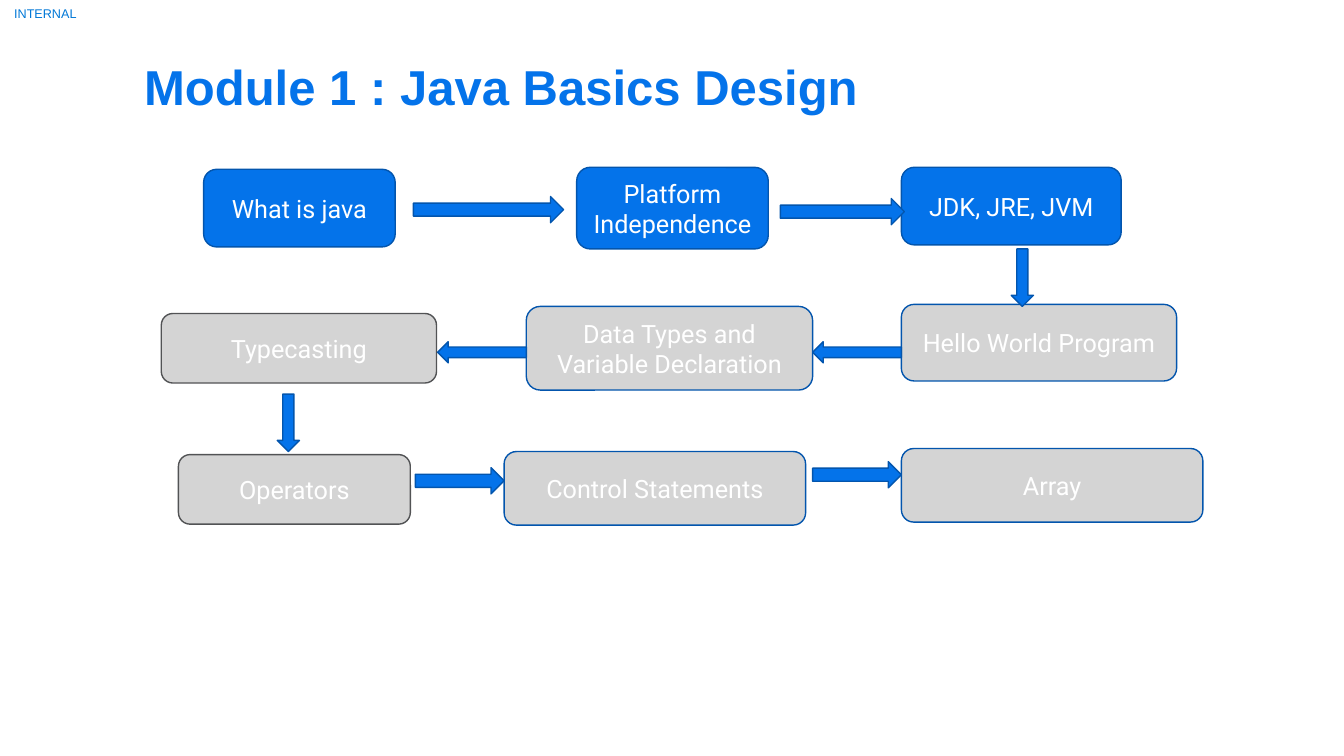
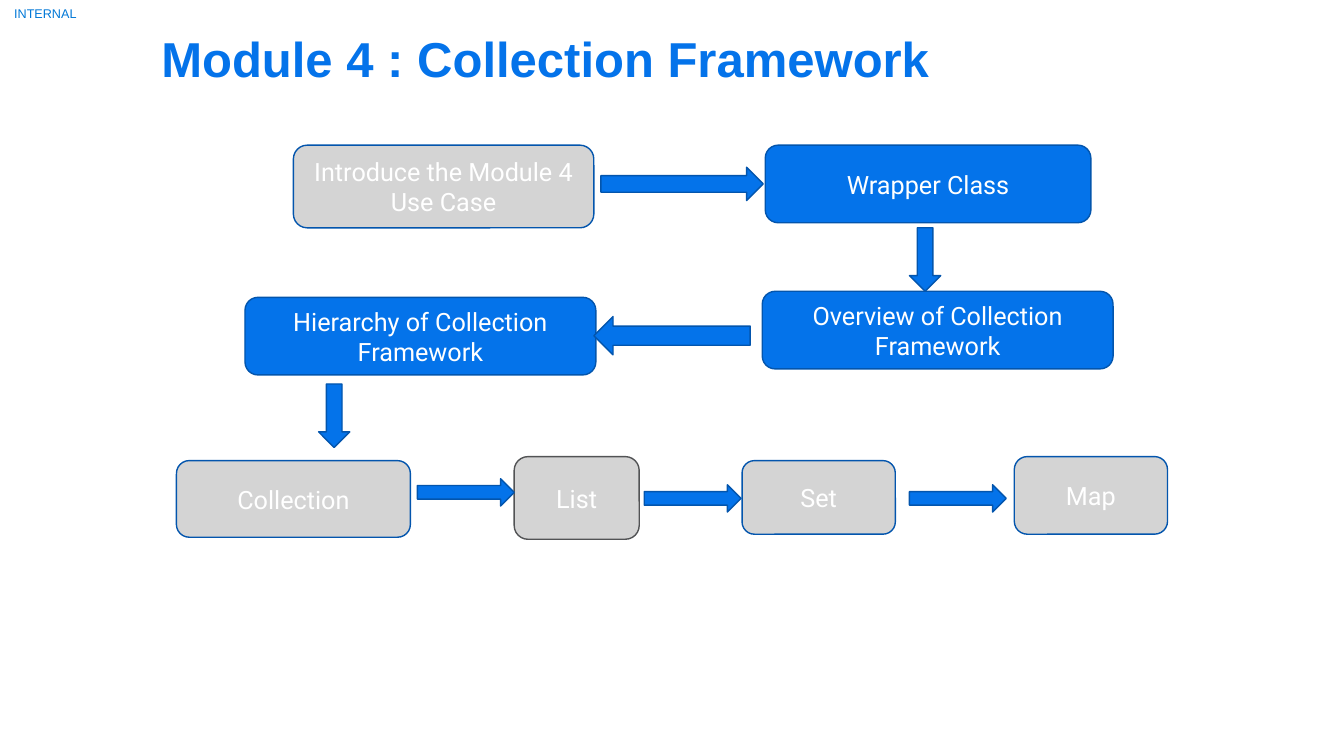
from dataclasses import dataclass

from pptx import Presentation
from pptx.dml.color import RGBColor
from pptx.enum.shapes import MSO_SHAPE
from pptx.enum.text import MSO_ANCHOR, PP_ALIGN
from pptx.util import Inches, Pt


@dataclass(frozen=True)
class Theme:
    blue: str = "0473EA"
    edge: str = "0355AD"
    grey: str = "D4D4D4"
    dark: str = "525355"
    white: str = "FFFFFF"
    label: str = "0078D7"
    heading_font: str = "Arial"
    body_font: str = "Roboto"
    label_size: int = 9
    title_size: int = 35
    box_size: int = 18
    line_width: int = 1


T = Theme()

# Box style: (fill, outline)
STYLES = {
    "done": (T.blue, T.edge),
    "open": (T.grey, T.edge),
    "plain": (T.grey, T.dark),
}
ARROWS = {
    "right": MSO_SHAPE.RIGHT_ARROW,
    "left": MSO_SHAPE.LEFT_ARROW,
    "down": MSO_SHAPE.DOWN_ARROW,
}
TITLE_SIZE = (10.13, 0.77)
LABEL_AREA = (0, 0, 0.9, 0.26)

# Boxes: text, style, (left, top, width, height) in inches, in reading order.
# Arrows: shared (width, height) per direction, then the (left, top) of each.
MODULES = [
    {
        "title": "Module 1 : Java Basics Design",
        "title_at": (1.43, 0.5),
        "boxes": [
            ("What is java", "done", (2.02, 1.68, 1.9, 0.77)),
            ("Platform Independence", "done", (5.72, 1.66, 1.9, 0.81)),
            ("JDK, JRE, JVM", "done", (8.94, 1.66, 2.18, 0.77)),
            ("Hello World Program", "open", (8.94, 3.02, 2.73, 0.76)),
            ("Data Types and Variable Declaration", "open", (5.22, 3.04, 2.84, 0.83)),
            ("Typecasting", "plain", (1.6, 3.11, 2.73, 0.69)),
            ("Operators", "plain", (1.77, 4.51, 2.3, 0.69)),
            ("Control Statements", "open", (5, 4.48, 2.99, 0.73)),
            ("Array", "open", (8.94, 4.45, 2.99, 0.73)),
        ],
        "arrows": [
            ("right", (1.49, 0.26), [(4.1, 1.95)]),
            ("right", (1.23, 0.26), [(7.74, 1.97)]),
            ("right", (0.88, 0.26), [(4.12, 4.64), (8.06, 4.58)]),
            ("left", (0.88, 0.21), [(8.06, 3.39), (4.34, 3.39)]),
            ("down", (0.22, 0.57), [(10.03, 2.47), (2.75, 3.91)]),
        ],
    },
    {
        "title": "Module 4 : Collection Framework",
        "title_at": (1.6, 0.22),
        "boxes": [
            ("Introduce the Module 4 Use Case", "open", (2.91, 1.44, 2.98, 0.82)),
            ("Wrapper Class", "done", (7.59, 1.44, 3.23, 0.77)),
            ("Overview of Collection Framework", "done", (7.56, 2.89, 3.48, 0.77)),
            ("Hierarchy of Collection Framework", "done", (2.43, 2.95, 3.48, 0.77)),
            ("Collection", "open", (1.75, 4.57, 2.32, 0.76)),
            ("List", "plain", (5.1, 4.53, 1.24, 0.82)),
            ("Set", "open", (7.36, 4.57, 1.52, 0.73)),
            ("Map", "open", (10.06, 4.53, 1.52, 0.77)),
        ],
        "arrows": [
            ("right", (1.61, 0.33), [(5.96, 1.66)]),
            ("right", (0.96, 0.27), [(4.14, 4.75), (6.39, 4.81), (9.02, 4.81)]),
            ("left", (1.55, 0.38), [(5.89, 3.14)]),
            ("down", (0.31, 0.63), [(9.02, 2.26), (3.16, 3.81)]),
        ],
    },
]


def rgb(color):
    return RGBColor.from_string(color)


def write(tf, text, font, size, color, align, anchor, bold=False):
    tf.word_wrap = True
    tf.vertical_anchor = anchor
    p = tf.paragraphs[0]
    p.text = text
    p.alignment = align
    p.font.name = font
    p.font.size = Pt(size)
    p.font.bold = bold
    p.font.color.rgb = rgb(color)


def add_text(s, area, *style, top_inset=0, **options):
    """Add a text box whose margins are zero, save for the top one."""
    tf = s.shapes.add_textbox(*map(Inches, area)).text_frame
    tf.margin_left = tf.margin_right = tf.margin_bottom = 0
    tf.margin_top = Inches(top_inset)
    write(tf, *style, **options)


def add_figure(s, kind, area, fill, line):
    sp = s.shapes.add_shape(kind, *map(Inches, area))
    sp.shadow.inherit = False
    sp.fill.solid()
    sp.fill.fore_color.rgb = rgb(fill)
    sp.line.color.rgb = rgb(line)
    sp.line.width = Pt(T.line_width)
    return sp


def add_module(prs, module):
    s = prs.slides.add_slide(prs.slide_layouts[6])
    add_text(s, LABEL_AREA, "INTERNAL", T.heading_font, T.label_size, T.label,
             PP_ALIGN.CENTER, MSO_ANCHOR.MIDDLE)
    add_text(s, module["title_at"] + TITLE_SIZE, module["title"],
             T.heading_font, T.title_size, T.blue,
             PP_ALIGN.LEFT, MSO_ANCHOR.TOP, bold=True, top_inset=0.06)
    for text, style, area in module["boxes"]:
        sp = add_figure(s, MSO_SHAPE.ROUNDED_RECTANGLE, area, *STYLES[style])
        write(sp.text_frame, text, T.body_font, T.box_size, T.white,
              PP_ALIGN.CENTER, MSO_ANCHOR.MIDDLE)
    for direction, size, places in module["arrows"]:
        for place in places:
            add_figure(s, ARROWS[direction], place + size, T.blue, T.edge)


def main():
    prs = Presentation()
    prs.slide_width, prs.slide_height = Inches(13.33), Inches(7.5)
    for module in MODULES:
        add_module(prs, module)
    prs.save("out.pptx")


if __name__ == "__main__":
    main()
